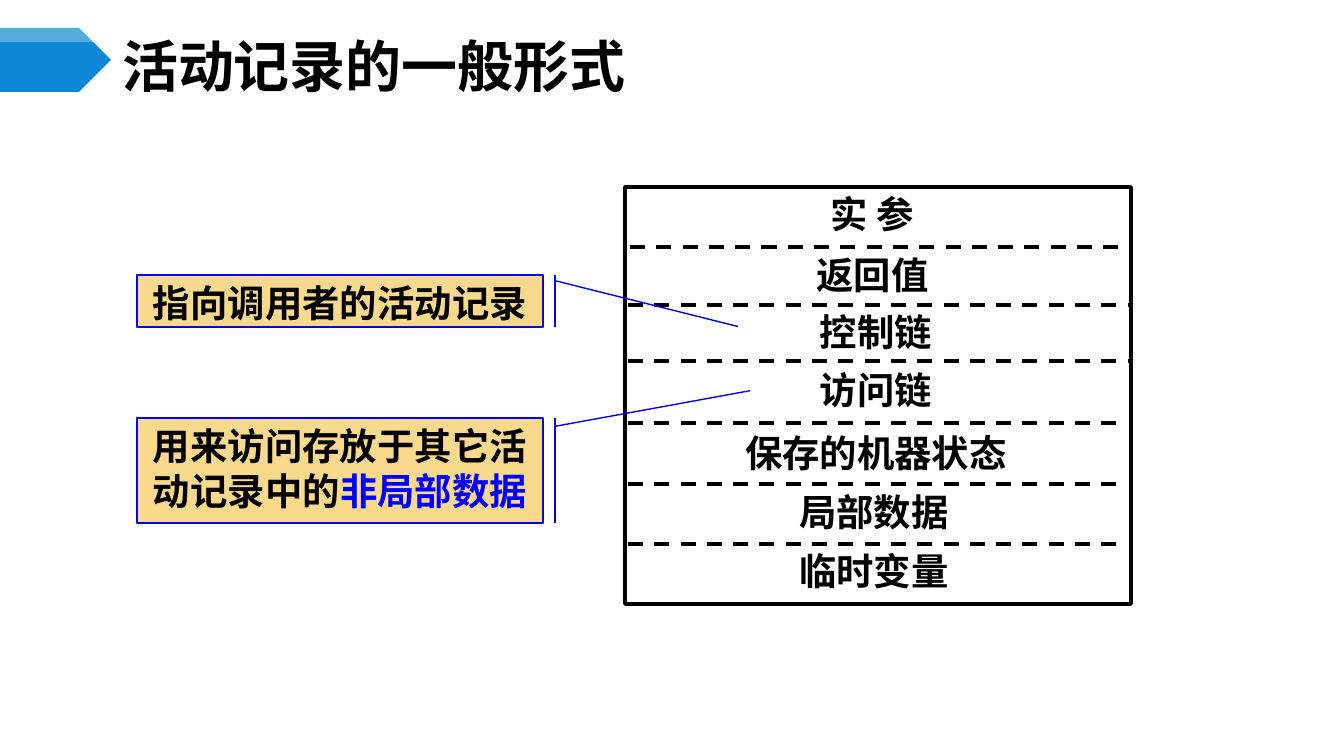
from lxml.etree import SubElement
from pptx import Presentation
from pptx.dml.color import RGBColor
from pptx.enum.dml import MSO_LINE
from pptx.enum.shapes import MSO_CONNECTOR, MSO_SHAPE
from pptx.enum.text import MSO_ANCHOR, PP_ALIGN
from pptx.oxml.ns import qn
from pptx.util import Pt

PX = 914400 / 134.4
FONT = "Noto Sans CJK SC"
BLACK, BLUE, SAND, BANNER = "000000", "0000FF", "F9D98C", "0B87D6"

TITLE = "活动记录的一般形式"
FRAME = (625, 187, 506, 417)
# field name, box (left, top, width, height), top inset
FIELDS = [
    ("实 参", (634, 179, 476, 71), 12),
    ("返回值", (802, 245, 141, 59), 7),
    ("控制链", (638, 297, 476, 71), 12),
    ("访问链", (638, 355, 476, 71), 12),
    ("保存的机器状态", (638, 418, 476, 71), 12),
    ("局部数据", (636, 477, 476, 71), 12),
    ("临时变量", (636, 536, 476, 73), 12),
]
# y, left end, right end
DIVIDERS = [(247, 630, 1124), (305, 628, 1129), (361, 628, 1130),
            (423, 628, 1124), (484, 628, 1124), (544, 628, 1124)]
# runs, box, pointer (start y, start x, end y, end x) as shares of the box
CALLOUTS = [
    ([("指向调用者的活动记录", BLACK)],
     (137, 275, 406, 52), (0.11, 1.03, 0.99, 1.48)),
    ([("用来访问存放于其它活动记录中的", BLACK), ("非局部数据", BLUE)],
     (137, 418, 406, 105), (0.08, 1.03, -0.26, 1.51)),
]


def px(*lengths):
    return [round(n * PX) for n in lengths]


def color(hex_string):
    return RGBColor.from_string(hex_string)


def write(tf, runs, size, align, insets, anchor=MSO_ANCHOR.TOP):
    tf.margin_left, tf.margin_top, tf.margin_right, tf.margin_bottom = px(*insets)
    tf.word_wrap = True
    tf.vertical_anchor = anchor
    p = tf.paragraphs[0]
    p.alignment = align
    for text, shade in runs:
        r = p.add_run()
        r.text = text
        r.font.size, r.font.bold, r.font.name = Pt(size), True, FONT
        r.font.color.rgb = color(shade)
        SubElement(r.font._element, qn("a:ea"), typeface=FONT)


def paint(shape, fill=None, line=None, width=0):
    shape.shadow.inherit = False
    if fill:
        shape.fill.solid()
        shape.fill.fore_color.rgb = color(fill)
    else:
        shape.fill.background()
    if line:
        shape.line.color.rgb = color(line)
        shape.line.width = Pt(width)
    else:
        shape.line.fill.background()


prs = Presentation()
prs.slide_width, prs.slide_height = px(1344, 756)
s = prs.slides.add_slide(prs.slide_layouts[5])

# Banner arrow with a lighter top strip
paint(s.shapes.add_shape(MSO_SHAPE.PENTAGON, *px(0, 28, 111, 64)), BANNER)
fb = s.shapes.build_freeform(0, 28, scale=PX)
fb.add_line_segments([(80, 28), (94, 42), (0, 42)])
strip = fb.convert_to_shape()
paint(strip, "FFFFFF")
SubElement(strip.fill._xPr.find(qn("a:solidFill"))[0], qn("a:alpha"), val="30000")

# Title
title = s.shapes.title
title.left, title.top, title.width, title.height = px(112, 39, 1165, 53)
write(title.text_frame, [(TITLE, BLACK)], 30, PP_ALIGN.LEFT, (10, 5, 10, 5),
      MSO_ANCHOR.MIDDLE)

# Activation record: frame, dividers, field names
paint(s.shapes.add_shape(MSO_SHAPE.RECTANGLE, *px(*FRAME)), None, BLACK, 2)
for y, left, right in DIVIDERS:
    c = s.shapes.add_connector(MSO_CONNECTOR.STRAIGHT, *px(left, y, right, y))
    c.line.color.rgb = color(BLACK)
    c.line.width = Pt(2)
    c.line.dash_style = MSO_LINE.DASH
    SubElement(c._element.spPr, qn("a:effectLst"))
for name, box, inset in FIELDS:
    tb = s.shapes.add_textbox(*px(*box))
    write(tb.text_frame, [(name, BLACK)], 20, PP_ALIGN.CENTER, (13, inset, 13, 7))

# Callouts pointing at the two links
for runs, box, pointer in CALLOUTS:
    sp = s.shapes.add_shape(MSO_SHAPE.LINE_CALLOUT_1_BORDER_AND_ACCENT_BAR, *px(*box))
    for i, share in enumerate(pointer):
        sp.adjustments[i] = share
    paint(sp, SAND, BLUE, 0.75)
    write(sp.text_frame, runs, 20, PP_ALIGN.CENTER, (10, 5, 10, 5))

prs.save("out.pptx")
